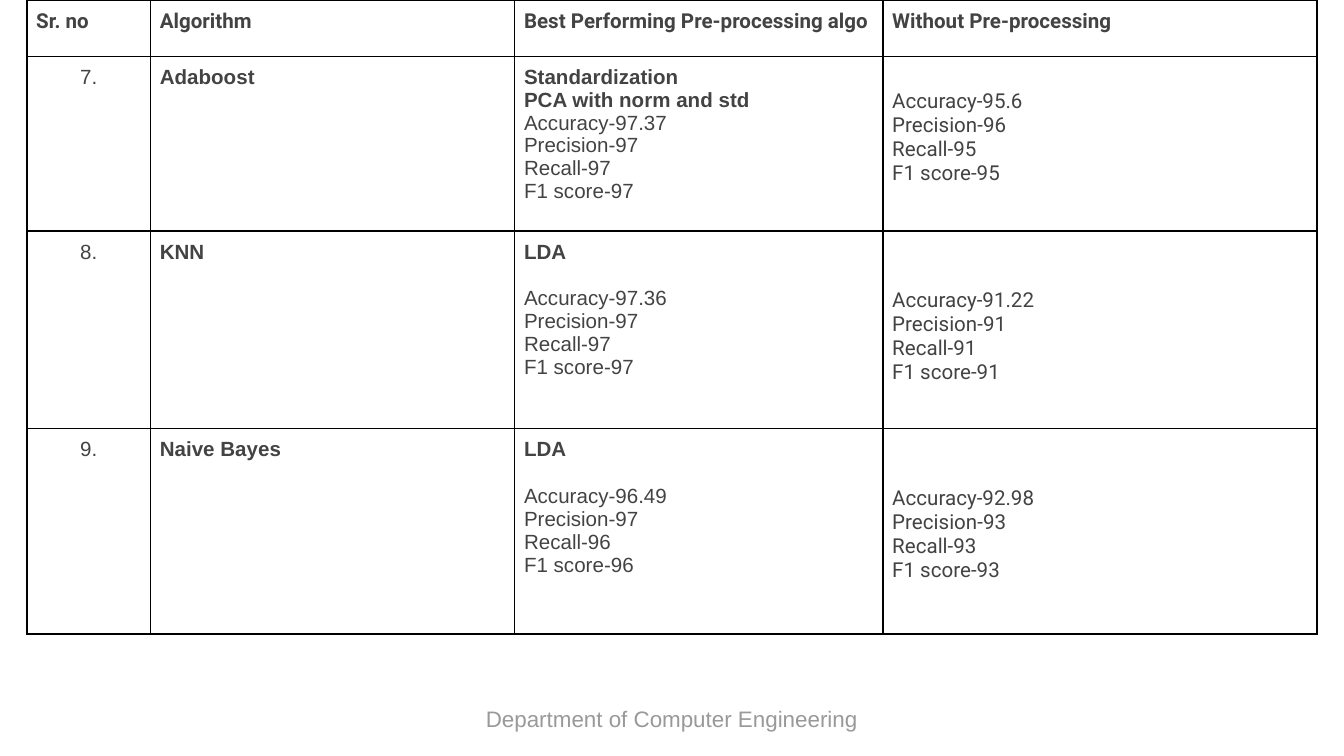
from dataclasses import dataclass
from typing import NamedTuple

from lxml.etree import SubElement
from pptx import Presentation
from pptx.dml.color import RGBColor as RGB
from pptx.enum.text import MSO_ANCHOR as ANCHOR, PP_ALIGN as ALIGN
from pptx.oxml.ns import qn
from pptx.util import Pt


@dataclass(frozen=True)
class Theme:
    """Colours, fonts and sizes of the slide."""
    ink: str = "434343"
    muted: str = "999999"
    border: str = "000000"
    body: str = "Arial"
    accent: str = "Roboto"
    cell_size: float = 11
    footer_size: float = 12
    inset: float = 5
    line: float = 12.9


class Scores(NamedTuple):
    """Scores of one run, in the order they are listed."""
    accuracy: str
    precision: int
    recall: int
    f1: int

    def lines(self) -> list[str]:
        """Return one labelled line per score."""
        labels = ("Accuracy", "Precision", "Recall", "F1 score")
        return [f"{label}-{value}" for label, value in zip(labels, self)]


class Result(NamedTuple):
    """One algorithm with its best and its plain scores."""
    number: int
    algorithm: str
    methods: list[str]
    best: Scores
    plain: Scores
    gap_lines: int
    drop_lines: int


THEME = Theme()
COLUMNS = (66.24, 195.12, 197.28, 232.56)
ROWS = (30.24, 93.6, 105.84, 110.16)
HEADERS = ("Sr. no", "Algorithm", "Best Performing Pre-processing algo", "Without Pre-processing")
RESULTS = (
    Result(7, "Adaboost", ["Standardization", "PCA with norm and std"],
           Scores("97.37", 97, 97, 97), Scores("95.6", 96, 95, 95), 0, 1),
    Result(8, "KNN", ["LDA"], Scores("97.36", 97, 97, 97), Scores("91.22", 91, 91, 91), 1, 2),
    Result(9, "Naive Bayes", ["LDA"], Scores("96.49", 97, 96, 96), Scores("92.98", 93, 93, 93), 1, 2),
)


def style(p, font: str, size: float, color: str, bold: bool = False) -> None:
    """Format every run of a paragraph."""
    for r in p.runs:
        r.font.name, r.font.size, r.font.bold = font, Pt(size), bold
        r.font.color.rgb = RGB.from_string(color)


def add_borders(cell) -> None:
    """Draw a thin line on all four sides of a cell."""
    pr = cell._tc.get_or_add_tcPr()
    for i, side in enumerate(("a:lnL", "a:lnR", "a:lnT", "a:lnB")):
        ln = SubElement(pr, qn(side), w=str(Pt(1)))
        SubElement(SubElement(ln, qn("a:solidFill")), qn("a:srgbClr"), val=THEME.border)
        pr.insert(i, ln)


def fill_cell(cell, lines: list[str], font: str, bold_lines: int = 0,
              drop: int = 0, gap: int = 0) -> None:
    """Write lines into a cell, the first ones bold, with optional gaps in line units."""
    cell.fill.background()
    add_borders(cell)
    cell.margin_left = cell.margin_right = cell.margin_bottom = Pt(THEME.inset)
    cell.margin_top = Pt(THEME.inset + drop * THEME.line)
    cell.text_frame.text = "\n".join(lines)
    for i, p in enumerate(cell.text_frame.paragraphs):
        style(p, font, THEME.cell_size, THEME.ink, i < bold_lines)
        if gap and i == bold_lines:
            p.space_before = Pt(gap * THEME.line)


def add_results(s) -> None:
    """Add the table of scores."""
    table = s.shapes.add_table(len(ROWS), len(COLUMNS), Pt(14.4), Pt(0),
                               Pt(sum(COLUMNS)), Pt(sum(ROWS))).table
    table.first_row = table.horz_banding = False
    for column, width in zip(table.columns, COLUMNS):
        column.width = Pt(width)
    for row, height in zip(table.rows, ROWS):
        row.height = Pt(height)
    for cell, text in zip(table.rows[0].cells, HEADERS):
        fill_cell(cell, [text], THEME.accent, 1)
    for i, result in enumerate(RESULTS, 1):
        number, name, best, plain = table.rows[i].cells
        fill_cell(number, [f"{result.number}."], THEME.body)
        number.text_frame.paragraphs[0].alignment = ALIGN.CENTER
        fill_cell(name, [result.algorithm], THEME.body, 1)
        fill_cell(best, result.methods + result.best.lines(), THEME.body,
                  len(result.methods), gap=result.gap_lines)
        fill_cell(plain, result.plain.lines(), THEME.accent, drop=result.drop_lines)


def add_footer(s, text: str) -> None:
    """Add the centred footer line."""
    tf = s.shapes.add_textbox(Pt(164.16), Pt(370.8), Pt(391.68), Pt(22.32)).text_frame
    tf.word_wrap, tf.vertical_anchor = True, ANCHOR.TOP
    tf.margin_left = tf.margin_right = tf.margin_top = tf.margin_bottom = Pt(7.2)
    tf.text = text
    p = tf.paragraphs[0]
    p.alignment = ALIGN.CENTER
    style(p, THEME.body, THEME.footer_size, THEME.muted)


def main() -> None:
    """Build the slide and save it."""
    prs = Presentation()
    prs.slide_width, prs.slide_height = Pt(720), Pt(405)
    s = prs.slides.add_slide(prs.slide_layouts[6])
    add_footer(s, "Department of Computer Engineering")
    add_results(s)
    prs.save("out.pptx")


if __name__ == "__main__":
    main()
